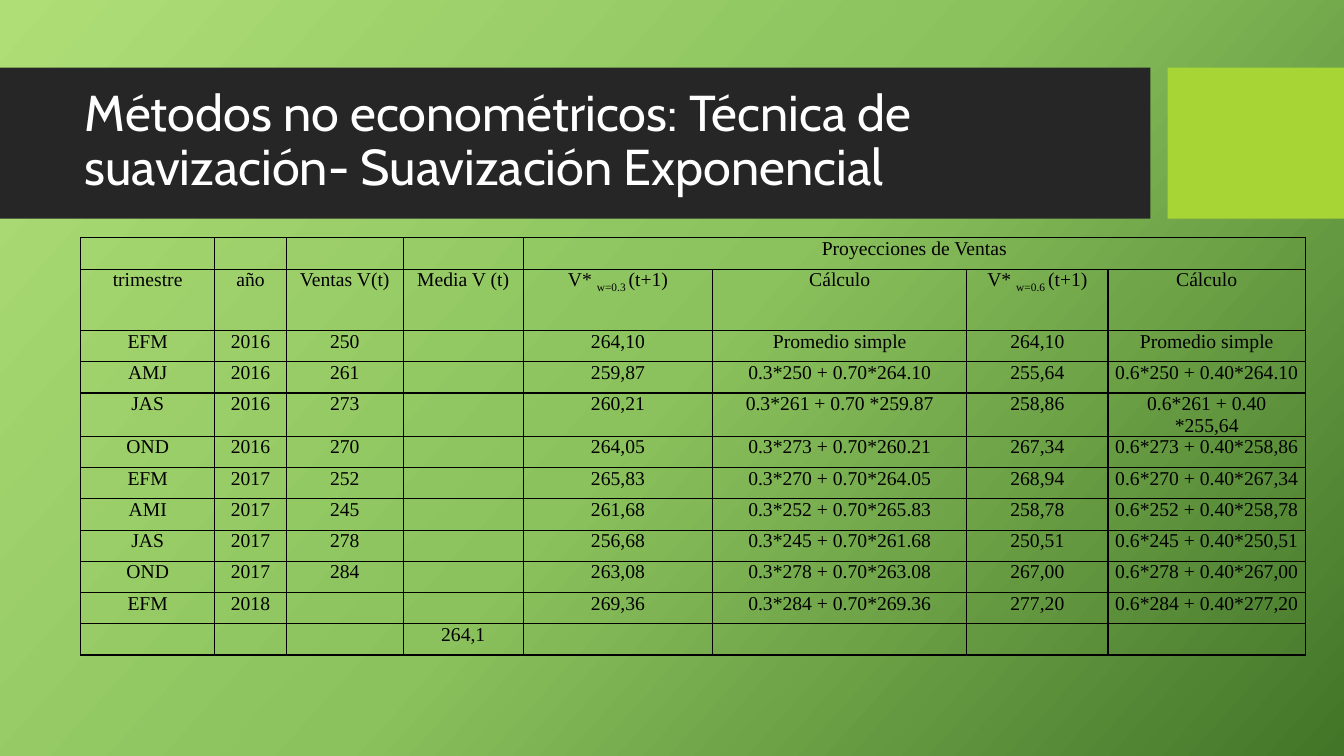
from copy import deepcopy
from lxml import etree
from pptx import Presentation
from pptx.dml.color import RGBColor
from pptx.enum.shapes import MSO_SHAPE
from pptx.enum.text import MSO_ANCHOR, MSO_AUTO_SIZE, PP_ALIGN
from pptx.oxml.ns import qn
from pptx.util import Inches, Pt

RECT = MSO_SHAPE.RECTANGLE
MIDDLE = MSO_ANCHOR.MIDDLE
NO_FIT = MSO_AUTO_SIZE.NONE
LEFT, CENTER = PP_ALIGN.LEFT, PP_ALIGN.CENTER

COLORS = {"band": "262626", "accent": "A7D535", "title": "FFFFFF", "ink": "000000"}
BACK = [(0, "AFDE77"), (0.5, "8BC25D"), (1, "437528")]
PLAIN = "{2D5ABB26-0587-4C30-8999-92F81FD0307C}"

TITLE = "Métodos no econométricos: Técnica de suavización- Suavización Exponencial"
BARS = [(0, 11.41, "band"), (11.58, 1.75, "accent")]
WIDTHS = [1.33, 0.71, 1.16, 1.19, 1.88, 2.52, 1.4, 1.96]
ROW, HEAD = 0.31, 0.61
ROWS = [
    ("", "", "", "", "Proyecciones de Ventas", "", "", ""),
    ("trimestre", "año", "Ventas V(t)", "Media V (t)",
     "V* |w=0.3 |(t+1)", "Cálculo", "V* |w=0.6 |(t+1)", "Cálculo"),
    ("EFM", "2016", "250", "", "264,10", "Promedio simple", "264,10", "Promedio simple"),
    ("AMJ", "2016", "261", "", "259,87", "0.3*250 + 0.70*264.10", "255,64", "0.6*250 + 0.40*264.10"),
    ("JAS", "2016", "273", "", "260,21", "0.3*261 + 0.70 *259.87", "258,86", "0.6*261 + 0.40 *255,64"),
    ("OND", "2016", "270", "", "264,05", "0.3*273 + 0.70*260.21", "267,34", "0.6*273 + 0.40*258,86"),
    ("EFM", "2017", "252", "", "265,83", "0.3*270 + 0.70*264.05", "268,94", "0.6*270 + 0.40*267,34"),
    ("AMI", "2017", "245", "", "261,68", "0.3*252 + 0.70*265.83", "258,78", "0.6*252 + 0.40*258,78"),
    ("JAS", "2017", "278", "", "256,68", "0.3*245 + 0.70*261.68", "250,51", "0.6*245 + 0.40*250,51"),
    ("OND", "2017", "284", "", "263,08", "0.3*278 + 0.70*263.08", "267,00", "0.6*278 + 0.40*267,00"),
    ("EFM", "2018", "", "", "269,36", "0.3*284 + 0.70*269.36", "277,20", "0.6*284 + 0.40*277,20"),
    ("", "", "", "264,1", "", "", "", ""),
]


def rgb(name):
    return RGBColor.from_string(COLORS[name])


def style(para, face, size, color, align):
    para.alignment = align
    para.font.name = face
    para.font.size = Pt(size)
    para.font.color.rgb = rgb(color)


def paint_back(slide):
    fill = slide.background.fill
    fill.gradient()
    fill.gradient_angle = 360 - 42
    stops = slide.element.find(".//" + qn("a:gsLst"))
    stops.append(deepcopy(stops[-1]))
    for stop, (pos, color) in zip(fill.gradient_stops, BACK):
        stop.position = pos
        stop.color.rgb = RGBColor.from_string(color)


def add_bars(slide):
    for left, width, color in BARS:
        bar = slide.shapes.add_shape(RECT, Inches(left), Inches(0.67), Inches(width), Inches(1.5))
        bar.shadow.inherit = False
        bar.fill.solid()
        bar.fill.fore_color.rgb = rgb(color)
        bar.line.fill.background()
        slide.shapes.title.element.addprevious(bar.element)


def set_title(slide):
    title = slide.shapes.title
    title.left, title.top = Inches(0.74), Inches(0.82)
    title.width, title.height = Inches(10.51), Inches(1.18)
    frame = title.text_frame
    frame.text = TITLE
    frame.word_wrap = True
    frame.auto_size = NO_FIT
    frame.vertical_anchor = MIDDLE
    para = frame.paragraphs[0]
    para.line_spacing = 0.9
    style(para, "Cabin", 36, "title", LEFT)


def add_edges(cell):
    props = cell._tc.get_or_add_tcPr()
    for spot, side in enumerate(("a:lnL", "a:lnR", "a:lnT", "a:lnB")):
        line = etree.Element(qn(side), w=str(Pt(1)))
        fill = etree.SubElement(line, qn("a:solidFill"))
        etree.SubElement(fill, qn("a:srgbClr"), val=COLORS["ink"])
        props.insert(spot, line)


def fill_cell(cell, text):
    cell.fill.background()
    cell.margin_left = cell.margin_right = Inches(0.05)
    cell.margin_top = cell.margin_bottom = 0
    para = cell.text_frame.paragraphs[0]
    style(para, "Times New Roman", 14, "ink", CENTER)
    if text:
        for spot, part in enumerate(text.split("|")):
            run = para.add_run()
            run.text = part
            if spot == 1:
                run._r.get_or_add_rPr().set("baseline", "-25000")
    add_edges(cell)


def add_sales(slide):
    frame = slide.shapes.add_table(len(ROWS), len(WIDTHS), Inches(0.8), Inches(2.36),
                                   Inches(sum(WIDTHS)), Inches(ROW * (len(ROWS) - 1) + HEAD))
    table = frame.table
    table.first_row = table.horz_banding = False
    frame.element.find(".//" + qn("a:tableStyleId")).text = PLAIN
    for col, width in zip(table.columns, WIDTHS):
        col.width = Inches(width)
    for y, row in enumerate(ROWS):
        table.rows[y].height = Inches(HEAD if y == 1 else ROW)
        for x, text in enumerate(row):
            fill_cell(table.cell(y, x), text)
    table.cell(0, 4).merge(table.cell(0, 7))


def main():
    deck = Presentation()
    deck.slide_width, deck.slide_height = Inches(13.33), Inches(7.5)
    slide = deck.slides.add_slide(deck.slide_layouts[5])
    paint_back(slide)
    add_bars(slide)
    set_title(slide)
    add_sales(slide)
    deck.save("out.pptx")


if __name__ == "__main__":
    main()
